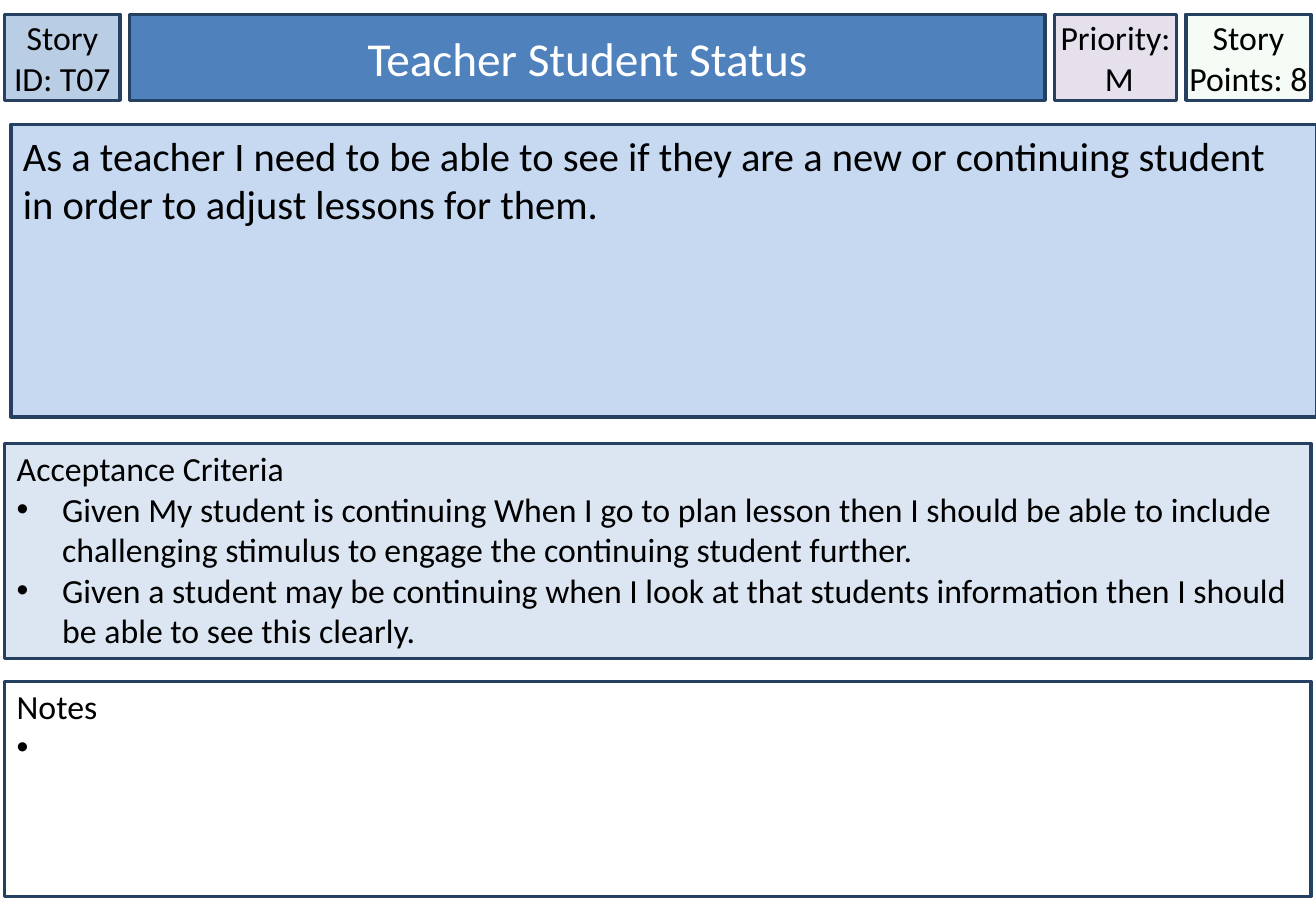
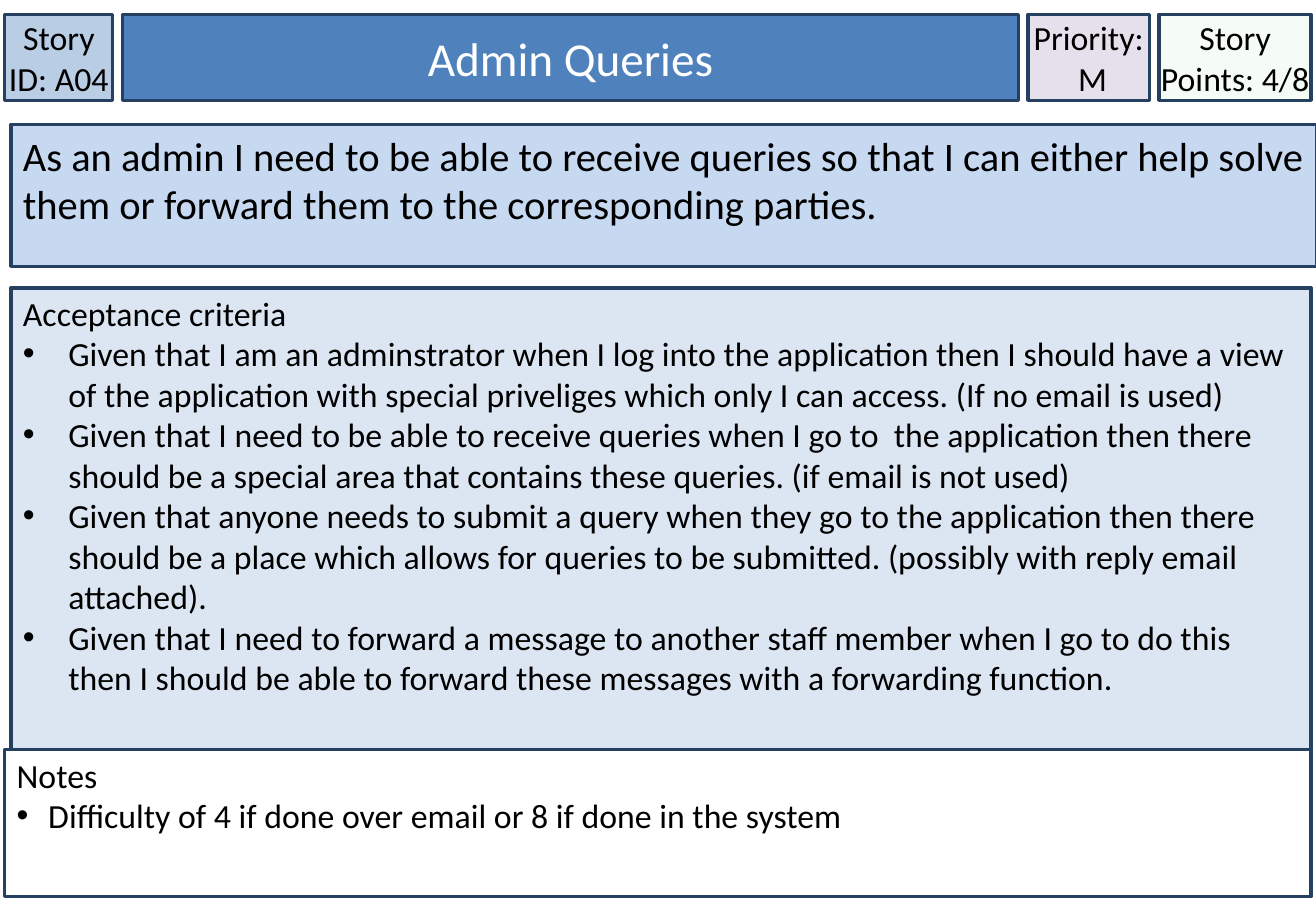
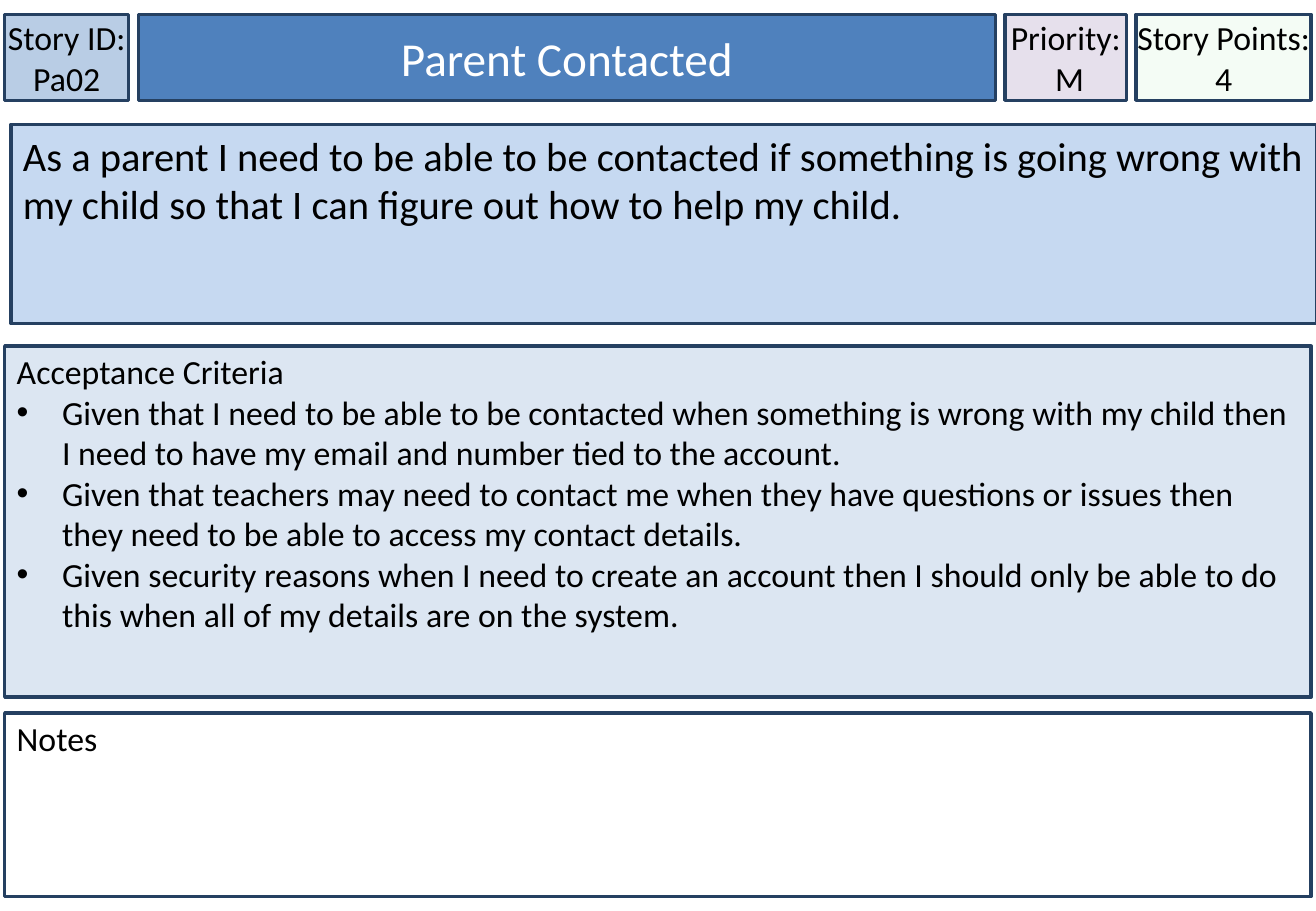
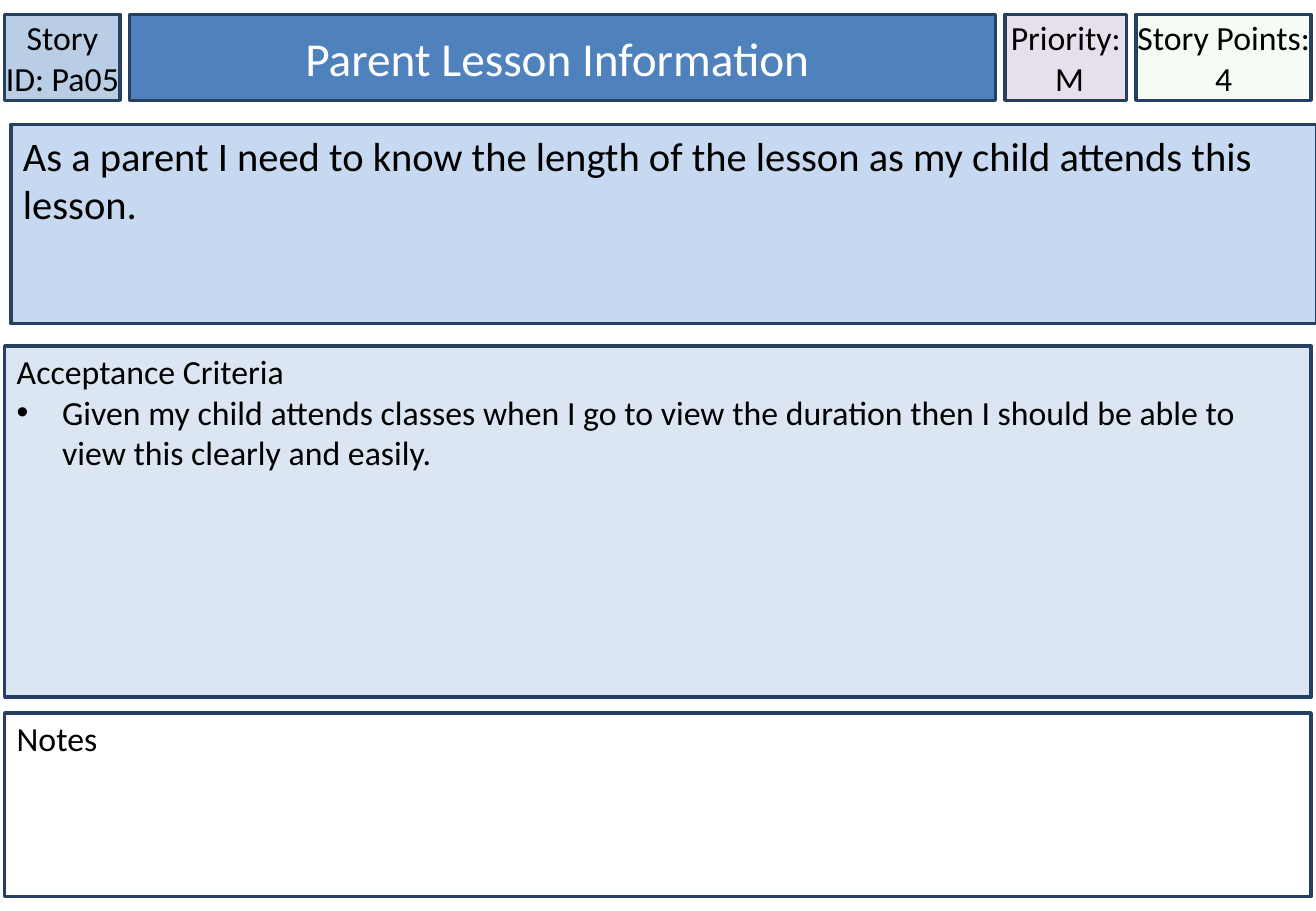
from dataclasses import dataclass

from lxml import etree
from pptx import Presentation
from pptx import util as u
from pptx.dml import color
from pptx.enum import shapes, text
from pptx.oxml import ns


@dataclass(frozen=True)
class Theme:
    font: str = "Calibri"
    ink: str = "000000"
    title_ink: str = "FFFFFF"
    outline: str = "254061"
    story_id: str = "B9CDE5"
    title: str = "4F81BD"
    priority: str = "E6E0EC"
    points: str = "CCF0CD"
    points_opacity: int = 20
    story: str = "C6D9F1"
    criteria: str = "DCE6F2"
    notes: str = "FFFFFF"
    title_size: int = 28
    story_size: int = 24
    body_size: int = 20
    line_width: int = 2


# Page geometry in cm
PAGE_W, PAGE_H = 27.51, 19.05
LEFT, RIGHT, BOTTOM = 0.1, 27.41, 18.75
HEADER_TOP, HEADER_H, GAP = 0.3, 1.8, 0.2
PRIORITY_W = 2.54
STORY_LEFT, STORY_TOP, STORY_W = 0.23, 2.6, 27.3

# Text frame formats: margins are left, top, right, bottom in cm
MARGINS = ("margin_left", "margin_top", "margin_right", "margin_bottom")
TIGHT = (0, 0.13, 0, 0.13)
NORMAL = (0.25, 0.13, 0.25, 0.13)
LIST = (0.25, 0.1, 0.25, 0.13)
CRITERIA_INDENT, NOTES_INDENT = 0.95, 0.5


class StoryCards:
    def __init__(self, theme):
        self.theme = theme
        self.deck = Presentation()
        self.deck.slide_width, self.deck.slide_height = u.Cm(PAGE_W), u.Cm(PAGE_H)
        self.slide = None

    def box(self, left, top, width, height, fill, lines, size=None, ink=None,
            margins=NORMAL, centred=False, wrap=True, indent=0, opacity=None):
        """Outlined rectangle; with an indent, lines after the first are bulleted."""
        theme = self.theme
        panel = self.slide.shapes.add_shape(
            shapes.MSO_SHAPE.RECTANGLE, *map(u.Cm, (left, top, width, height)))
        panel.shadow.inherit = False
        panel.fill.solid()
        panel.fill.fore_color.rgb = color.RGBColor.from_string(fill)
        panel.line.color.rgb = color.RGBColor.from_string(theme.outline)
        panel.line.width = u.Pt(theme.line_width)
        if opacity is not None:
            tint = panel.fill._xPr.find(".//" + ns.qn("a:srgbClr"))
            etree.SubElement(tint, ns.qn("a:alpha"), val=str(opacity * 1000))

        frame = panel.text_frame
        frame_format = dict(zip(MARGINS, map(u.Cm, margins)))
        frame_format["word_wrap"] = wrap
        frame_format["vertical_anchor"] = (
            text.MSO_ANCHOR.MIDDLE if centred else text.MSO_ANCHOR.TOP)
        for name, value in frame_format.items():
            setattr(frame, name, value)

        for number, line in enumerate(lines):
            paragraph = frame.add_paragraph() if number else frame.paragraphs[0]
            paragraph.text = line
            paragraph.alignment = text.PP_ALIGN.CENTER if centred else text.PP_ALIGN.LEFT
            if indent and number:
                self.bullet(paragraph, indent)
            font_format = {"name": theme.font, "size": u.Pt(size or theme.body_size)}
            for run in paragraph.runs:
                for name, value in font_format.items():
                    setattr(run.font, name, value)
                run.font.color.rgb = color.RGBColor.from_string(ink or theme.ink)

    def bullet(self, paragraph, indent):
        props = paragraph._p.get_or_add_pPr()
        props.set("marL", str(u.Cm(indent)))
        props.set("indent", str(-u.Cm(indent)))
        etree.SubElement(props, ns.qn("a:buFont"), typeface="Arial")
        etree.SubElement(props, ns.qn("a:buChar"), char="•")

    def header(self, story_id, id_w, title, points, points_w):
        theme = self.theme
        title_left = LEFT + id_w + GAP
        points_left = RIGHT - points_w
        priority_left = points_left - GAP - PRIORITY_W
        title_w = priority_left - GAP - title_left

        def cell(left, width, fill, lines, margins=TIGHT, **style):
            self.box(left, HEADER_TOP, width, HEADER_H, fill, lines,
                     margins=margins, centred=True, **style)

        cell(LEFT, id_w, theme.story_id, [f"Story ID: {story_id}"])
        cell(title_left, title_w, theme.title, [title], NORMAL,
             size=theme.title_size, ink=theme.title_ink)
        cell(points_left, points_w, theme.points, [f"Story Points: {points}"],
             opacity=theme.points_opacity)
        cell(priority_left, PRIORITY_W, theme.priority, ["Priority:", " M"], wrap=False)

    def story(self, sentence, height):
        self.box(STORY_LEFT, STORY_TOP, STORY_W, height, self.theme.story, [sentence],
                 size=self.theme.story_size)

    def criteria(self, items, top, height, heading="Acceptance Criteria", left=LEFT):
        self.box(left, top, RIGHT - left, height, self.theme.criteria,
                 [heading, *items], margins=LIST, indent=CRITERIA_INDENT)

    def notes(self, height, items=()):
        self.box(LEFT, BOTTOM - height, RIGHT - LEFT, height, self.theme.notes,
                 ["Notes", *items], margins=LIST, indent=NOTES_INDENT)

    def card(self, header, story, criteria, notes):
        self.slide = self.deck.slides.add_slide(self.deck.slide_layouts[6])
        self.header(**header)
        self.story(**story)
        self.criteria(**criteria)
        self.notes(**notes)


# Panel sizes shared by the two parent cards
PARENT_STORY_H = 4.17
PARENT_CRITERIA = dict(top=7.24, height=7.34)
PARENT_NOTES = dict(height=3.84)

CARDS = [
    # Teacher: student status
    dict(
        header=dict(story_id="T07", id_w=2.41, title="Teacher Student Status",
                    points="8", points_w=2.62),
        story=dict(height=6.12, sentence="As a teacher I need to be able to see if they are a new or "
                   "continuing student in order to adjust lessons for them."),
        criteria=dict(top=9.27, height=4.5, items=[
            "Given My student is continuing When I go to plan lesson then I should be able to "
            "include challenging stimulus to engage the continuing student further.",
            "Given a student may be continuing when I look at that students information then I "
            "should be able to see this clearly.",
        ]),
        notes=dict(height=4.5, items=[" "]),
    ),
    # Admin: queries
    dict(
        header=dict(story_id="A04", id_w=2.26, title="Admin Queries",
                    points="4/8", points_w=3.18),
        story=dict(height=2.97, sentence="As an admin I need to be able to receive queries so that I "
                   "can either help solve them or forward them to the corresponding parties."),
        criteria=dict(top=6.02, height=9.65, left=STORY_LEFT, heading="Acceptance criteria", items=[
            "Given that I am an adminstrator when I log into the application then I should have a "
            "view of the application with special priveliges which only I can access. "
            "(If no email is used)",
            "Given that I need to be able to receive queries when I go to  the application then "
            "there should be a special area that contains these queries. (if email is not used)",
            "Given that anyone needs to submit a query when they go to the application then there "
            "should be a place which allows for queries to be submitted. (possibly with reply "
            "email attached).",
            "Given that I need to forward a message to another staff member when I go to do this "
            "then I should be able to forward these messages with a forwarding function.",
        ]),
        notes=dict(height=3.07, items=[
            " Difficulty of 4 if done over email or 8 if done in the system"]),
    ),
    # Parent: being contacted
    dict(
        header=dict(story_id="Pa02", id_w=2.59, title="Parent Contacted",
                    points="4", points_w=3.66),
        story=dict(height=PARENT_STORY_H, sentence="As a parent I need to be able to be contacted if "
                   "something is going wrong with my child so that I can figure out how to help "
                   "my child."),
        criteria=dict(**PARENT_CRITERIA, items=[
            "Given that I need to be able to be contacted when something is wrong with my child "
            "then I need to have my email and number tied to the account.",
            "Given that teachers may need to contact me when they have questions or issues then "
            "they need to be able to access my contact details.",
            "Given security reasons when I need to create an account then I should only be able "
            "to do this when all of my details are on the system.",
        ]),
        notes=PARENT_NOTES,
    ),
    # Parent: lesson information
    dict(
        header=dict(story_id="Pa05", id_w=2.41, title="Parent Lesson Information ",
                    points="4", points_w=3.66),
        story=dict(height=PARENT_STORY_H, sentence="As a parent I need to know the length of the "
                   "lesson as my child attends this lesson."),
        criteria=dict(**PARENT_CRITERIA, items=[
            "Given my child attends classes when I go to view the duration then I should be able "
            "to view this clearly and easily.",
        ]),
        notes=PARENT_NOTES,
    ),
]


def main():
    cards = StoryCards(Theme())
    for card in CARDS:
        cards.card(**card)
    cards.deck.save("out.pptx")


if __name__ == "__main__":
    main()
